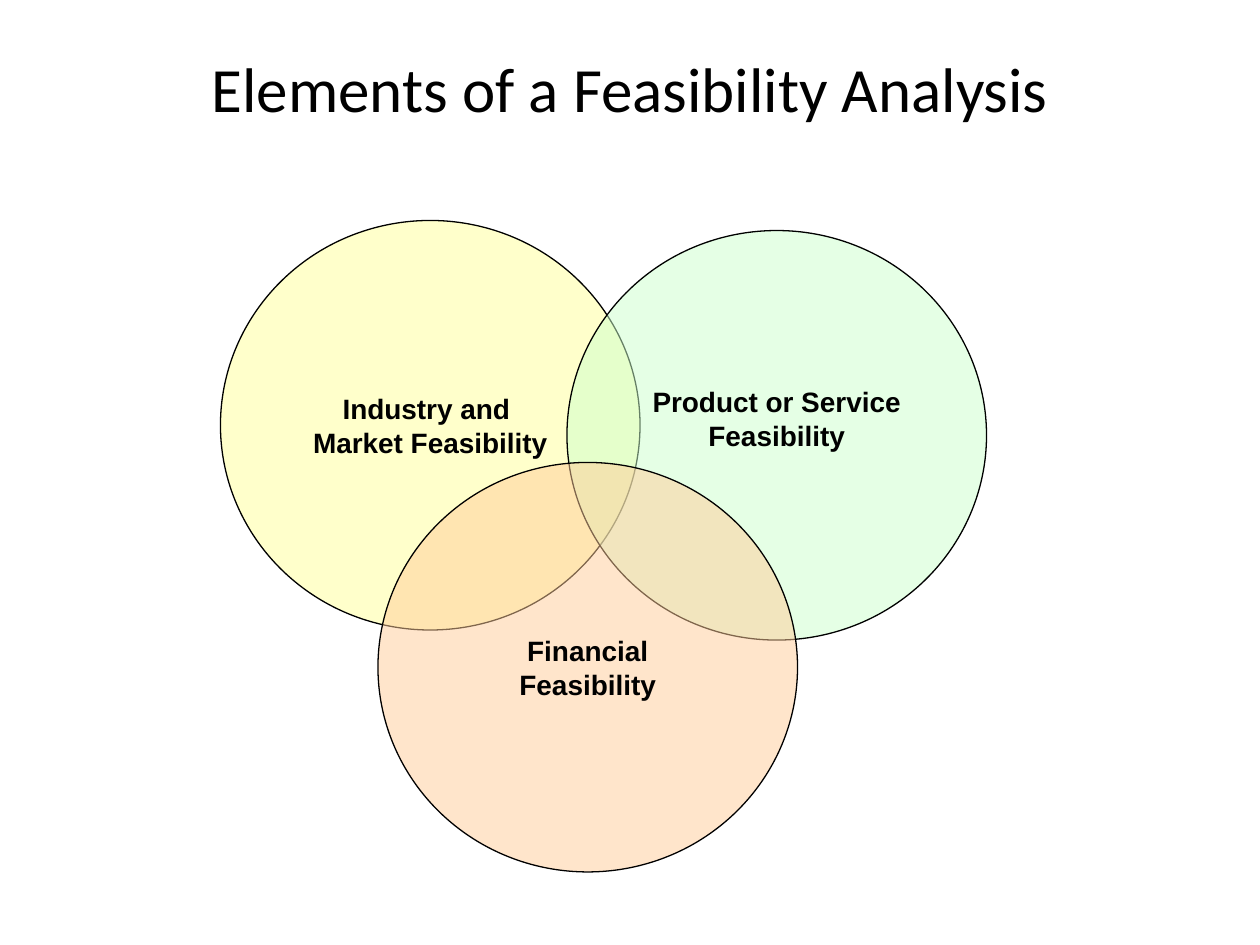
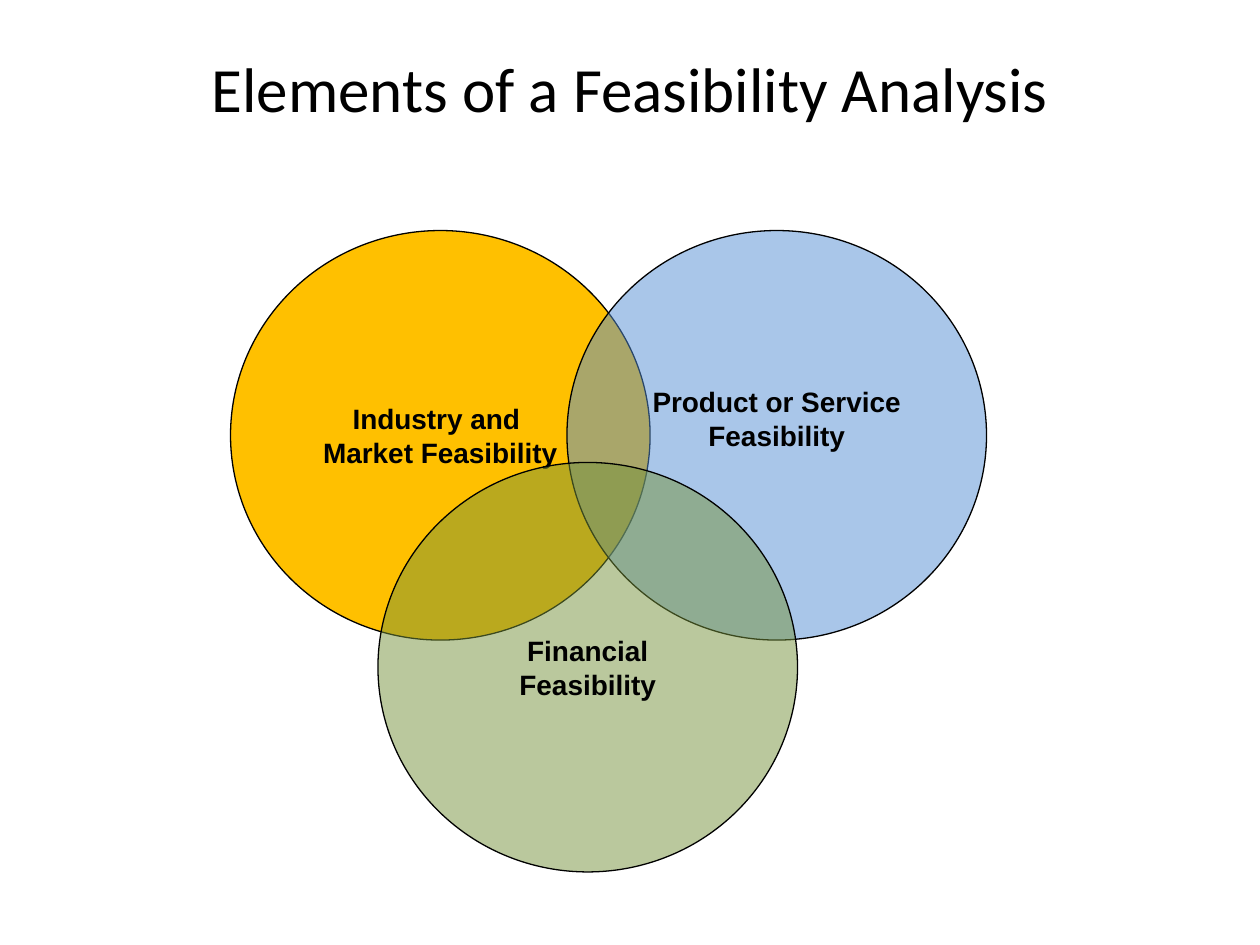
import pptx
import pptx.util
import pptx.dml.color
import pptx.enum.shapes
import pptx.enum.text
import pptx.oxml.ns
from lxml import etree

Inches, Pt = pptx.util.Inches, pptx.util.Pt
RGBColor = pptx.dml.color.RGBColor
PP_ALIGN = pptx.enum.text.PP_ALIGN
MSO_ANCHOR = pptx.enum.text.MSO_ANCHOR

BLACK = RGBColor(0x00, 0x00, 0x00)
PALE_YELLOW = RGBColor(0xFF, 0xFF, 0x99)
PALE_GREEN = RGBColor(0xCC, 0xFF, 0xCC)
PEACH = RGBColor(0xFF, 0xCC, 0x99)
GOLD = RGBColor(0xFF, 0xC0, 0x00)
BLUE = RGBColor(0x55, 0x8E, 0xD5)
OLIVE = RGBColor(0x77, 0x93, 0x3C)

TITLE = "Elements of a Feasibility Analysis"
TITLE_BOX = (0.5, 0.3, 9, 0.78)
VENN_ORIGIN = (1.75, 1.75)
CIRCLE_SIZE = (3.33, 3.25)
INSET = 0.05
LABEL_LIFT = 0.27  # one line of label text

# Label lines, offset within the diagram, extra bottom inset
INDUSTRY = ("Industry and ", "Market Feasibility")
PRODUCT = ("Product or Service", "Feasibility")
FINANCIAL = ("Financial", "Feasibility")
PRODUCT_AT = (2.75, 0.08)
FINANCIAL_AT = (1.25, 1.92)


def format_paragraph(p, font, size, bold=False):
    p.alignment = PP_ALIGN.CENTER
    for r in p.runs:
        r.font.name = font
        r.font.size = Pt(size)
        r.font.bold = bold
        r.font.color.rgb = BLACK


def add_title(s, text, box):
    title = s.shapes.title
    title.left, title.top, title.width, title.height = map(Inches, box)
    tf = title.text_frame
    tf.text = text
    tf.vertical_anchor = MSO_ANCHOR.MIDDLE
    format_paragraph(tf.paragraphs[0], "Calibri", 36)


def set_opacity(shape, percent):
    color = shape.fill._xPr.find(".//" + pptx.oxml.ns.qn("a:srgbClr"))
    alpha = etree.SubElement(color, pptx.oxml.ns.qn("a:alpha"))
    alpha.set("val", str(percent * 1000))


def add_circle(s, box, lines, color, opacity, lift):
    sp = s.shapes.add_shape(pptx.enum.shapes.MSO_SHAPE.OVAL, *map(Inches, box))
    sp.shadow.inherit = False
    sp.fill.solid()
    sp.fill.fore_color.rgb = color
    if opacity < 100:
        set_opacity(sp, opacity)
    sp.line.color.rgb = BLACK
    sp.line.width = Pt(0.75)

    tf = sp.text_frame
    tf.text = "\n".join(lines)
    tf.word_wrap = False
    tf.vertical_anchor = MSO_ANCHOR.MIDDLE
    tf.margin_top = Inches(INSET)
    tf.margin_bottom = Inches(INSET + lift)
    for p in tf.paragraphs:
        format_paragraph(p, "Arial", 16, bold=True)


def add_venn(s, origin, industry_at, colors, opacities):
    circles = (
        (INDUSTRY, industry_at, 0),
        (PRODUCT, PRODUCT_AT, LABEL_LIFT),
        (FINANCIAL, FINANCIAL_AT, 0),
    )
    for (lines, (dx, dy), lift), color, opacity in zip(circles, colors, opacities):
        box = (origin[0] + dx, origin[1] + dy, *CIRCLE_SIZE)
        add_circle(s, box, lines, color, opacity, lift)


def add_venn_slide(prs, industry_at, colors, opacities):
    s = prs.slides.add_slide(prs.slide_layouts.get_by_name("Title Only"))
    add_title(s, TITLE, TITLE_BOX)
    add_venn(s, VENN_ORIGIN, industry_at, colors, opacities)


def main():
    prs = pptx.Presentation()
    prs.slide_width, prs.slide_height = Inches(10), Inches(7.5)
    # Pastel version
    add_venn_slide(prs, (0, 0), (PALE_YELLOW, PALE_GREEN, PEACH), (50, 50, 50))
    # Strong colours, with a solid first circle
    add_venn_slide(prs, (0.08, 0.08), (GOLD, BLUE, OLIVE), (100, 50, 50))
    prs.save("out.pptx")


if __name__ == "__main__":
    main()
